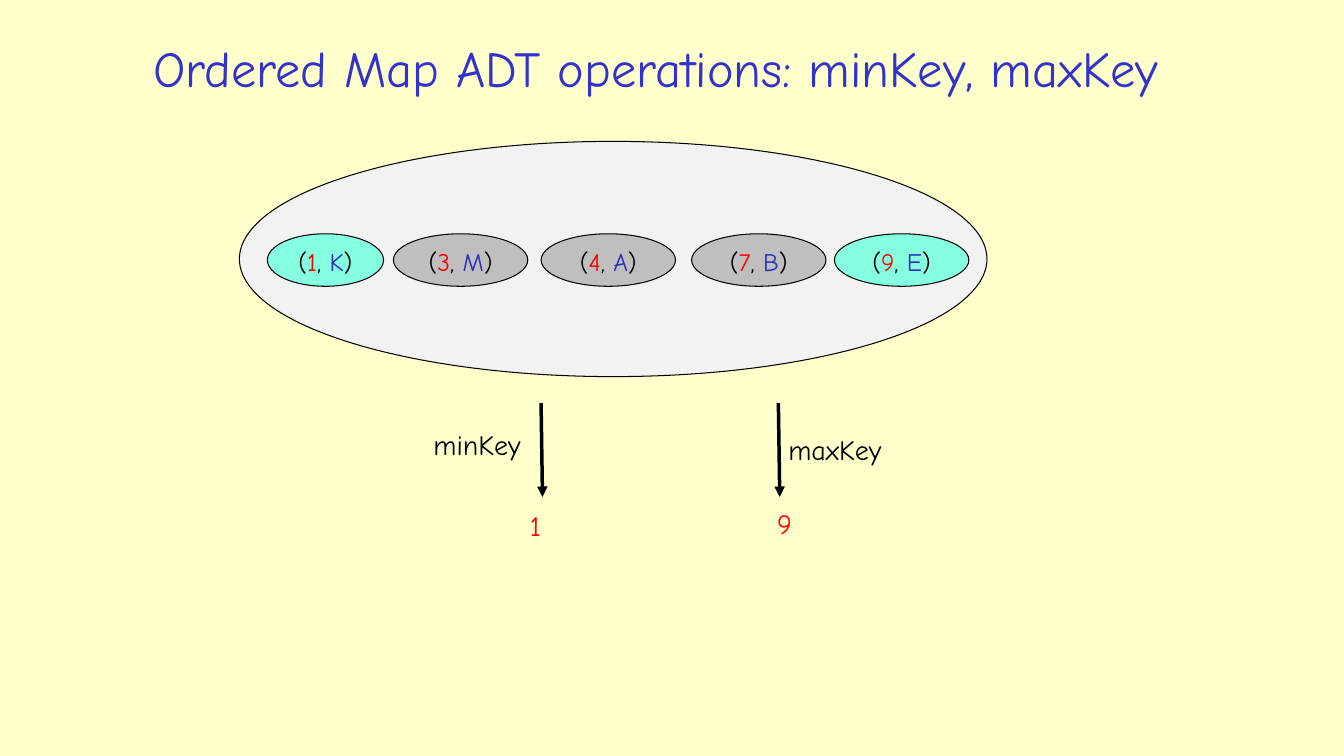
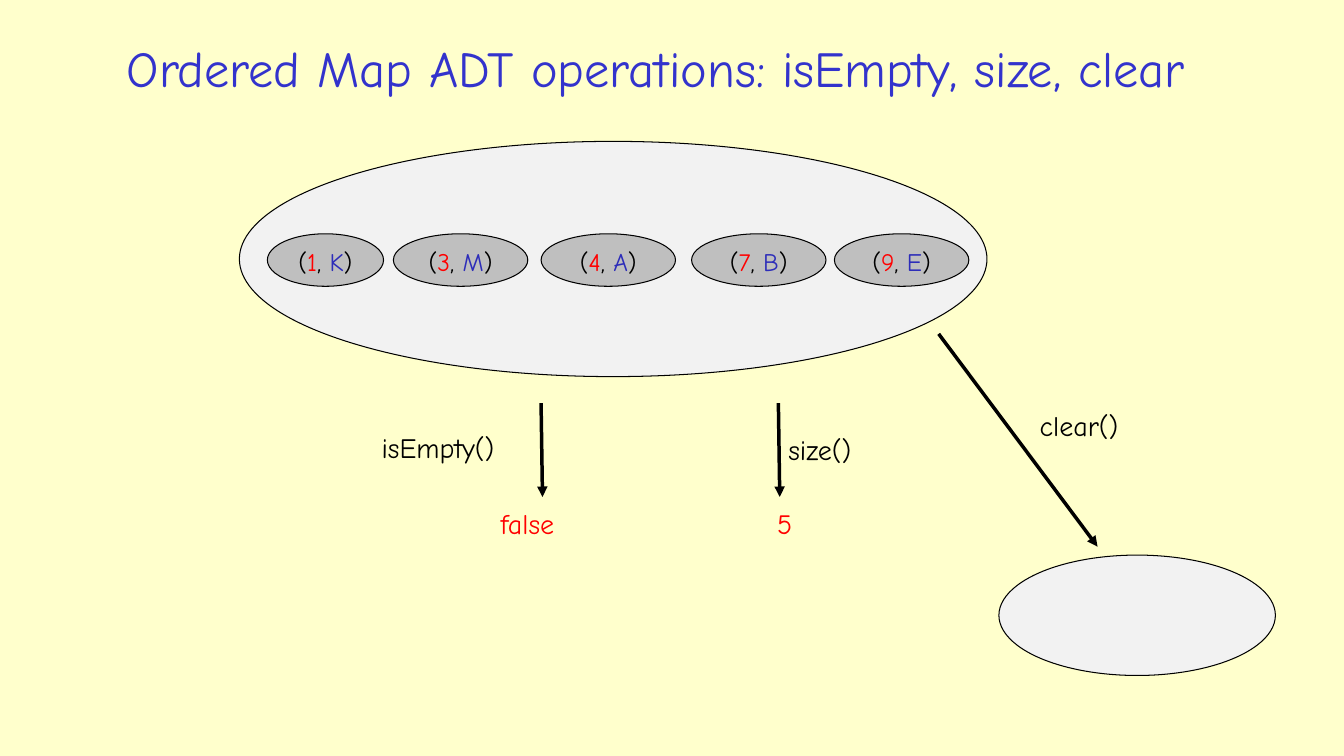
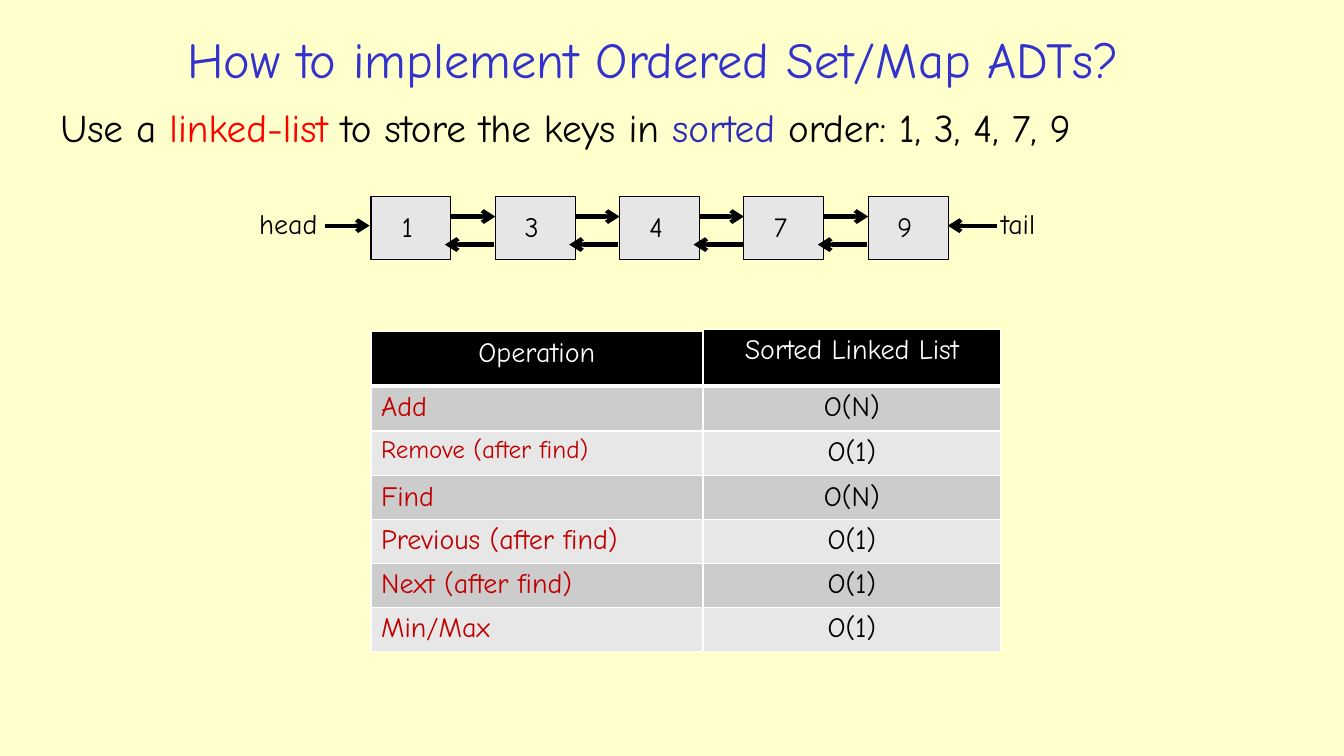
from collections import namedtuple
from dataclasses import dataclass

from lxml import etree
from pptx import Presentation
from pptx.dml.color import RGBColor
from pptx.enum.shapes import MSO_CONNECTOR, MSO_SHAPE
from pptx.enum.text import MSO_ANCHOR, MSO_AUTO_SIZE, PP_ALIGN
from pptx.oxml.ns import qn
from pptx.util import Pt

OVAL = MSO_SHAPE.OVAL
RECTANGLE = MSO_SHAPE.RECTANGLE
STRAIGHT = MSO_CONNECTOR.STRAIGHT
TOP = MSO_ANCHOR.TOP
MIDDLE = MSO_ANCHOR.MIDDLE
LEFT = PP_ALIGN.LEFT
CENTER = PP_ALIGN.CENTER
GROW = MSO_AUTO_SIZE.SHAPE_TO_FIT_TEXT
FIXED = MSO_AUTO_SIZE.NONE

Box = namedtuple("Box", "left top width height")
Entry = namedtuple("Entry", "key value offset width")


@dataclass(frozen=True)
class Theme:
    font: str = "Comic Neue"
    page: str = "FFFFCC"
    title: str = "3333CC"
    ink: str = "000000"
    key: str = "FF0000"
    value: str = "2D2DB9"
    map: str = "F2F2F2"
    entry: str = "BFBFBF"
    highlight: str = "85FFE0"
    node: str = "E6E6E6"
    white: str = "FFFFFF"
    operation: str = "C00000"
    bands: tuple = ("CCCCCC", "E7E7E7")
    title_size: float = 36
    body_size: float = 28
    label_size: float = 20
    entry_size: float = 18
    outline: float = 0.75
    operation_line: float = 2.5
    link_line: float = 3


THEME = Theme()
WIDE_TITLE = Box(27, 19, 883, 58)
MAP_BOX = Box(171, 101, 534, 168)
ENTRIES = [
    Entry("1", "K", 20, 83),
    Entry("3", "M", 110, 96),
    Entry("4", "A", 215.5, 96),
    Entry("7", "B", 323, 96),
    Entry("9", "E", 425, 96),
]
LEFT_ARROW = Box(386.5, 288, 1, 67)
RIGHT_ARROW = Box(556, 288, 1, 67)
CLEAR_ARROW = Box(670.5, 238.5, 113.5, 152)
RIGHT_LABEL = Box(0, 17.5, 98, 32)
RIGHT_RESULT = Box(-8, 70.5, 58, 32)
BODY_ROWS = [32, 32, 31.4, 31.4, 31.4, 31.4]
COSTS = [
    ("Add", "O(N)"),
    ("Remove (after find)", "O(1)"),
    ("Find", "O(N)"),
    ("Previous (after find)", "O(1)"),
    ("Next (after find)", "O(1)"),
    ("Min/Max", "O(1)"),
]


def color(value):
    return RGBColor.from_string(value)


def points(box):
    return [Pt(length) for length in box]


def inside(outer, inner):
    return Box(outer.left + inner.left, outer.top + inner.top, inner.width, inner.height)


def set_values(target, **values):
    for name, value in values.items():
        setattr(target, name, value)


def write(frame, spans, size, align=LEFT):
    para = frame.paragraphs[0]
    para.alignment = align
    for text, shade in spans:
        span = para.add_run()
        span.text = text
        set_values(span.font, name=THEME.font, size=Pt(size), bold=False)
        span.font.color.rgb = color(shade)
    return para


def add_title(slide, box, text):
    title = slide.shapes.title
    set_values(title, **dict(zip(Box._fields, points(box))))
    set_values(title.text_frame, word_wrap=True, auto_size=FIXED, vertical_anchor=MIDDLE)
    write(title.text_frame, [(text, THEME.title)], THEME.title_size, CENTER)


def add_page(deck, title_box, title):
    slide = deck.slides.add_slide(deck.slide_layouts.get_by_name("Title Only"))
    add_title(slide, title_box, title)
    return slide


def add_outlined(slide, kind, box, fill):
    shape = slide.shapes.add_shape(kind, *points(box))
    shape.shadow.inherit = False
    shape.fill.solid()
    shape.fill.fore_color.rgb = color(fill)
    shape.line.color.rgb = color(THEME.ink)
    shape.line.width = Pt(THEME.outline)
    return shape


def add_label(slide, box, text, shade=THEME.ink, wrap=True):
    label = slide.shapes.add_textbox(*points(box))
    set_values(label.text_frame, word_wrap=wrap, auto_size=GROW)
    write(label.text_frame, [(text, shade)], THEME.label_size)


def add_arrow(slide, box, width, head):
    left, top, across, down = box
    arrow = slide.shapes.add_connector(STRAIGHT, *points((left, top, left + across, top + down)))
    arrow.line.color.rgb = color(THEME.ink)
    arrow.line.width = Pt(width)
    properties = arrow.element.spPr
    etree.SubElement(properties.find(qn("a:ln")), qn("a:tailEnd"), type=head)
    etree.SubElement(properties, qn("a:effectLst"))


def add_ordered_map(slide, box, highlighted=()):
    add_outlined(slide, OVAL, box, THEME.map)
    for entry in ENTRIES:
        fill = THEME.highlight if entry.key in highlighted else THEME.entry
        place = inside(box, Box(entry.offset, 66, entry.width, 37.5))
        oval = add_outlined(slide, OVAL, place, fill)
        oval.text_frame.vertical_anchor = TOP
        spans = [
            ("(", THEME.ink),
            (entry.key, THEME.key),
            (", ", THEME.ink),
            (entry.value, THEME.value),
            (")", THEME.ink),
        ]
        write(oval.text_frame, spans, THEME.entry_size, CENTER)


def add_operation(slide, box, name, name_box, result=None, result_box=None):
    add_arrow(slide, box, THEME.operation_line, "triangle")
    add_label(slide, inside(box, name_box), name)
    if result:
        add_label(slide, inside(box, result_box), result, THEME.key)


def add_linked_list(slide, box, keys):
    node_width, pitch = 57, 88.8
    gap = pitch - node_width
    for index, key in enumerate(keys):
        place = inside(box, Box(index * pitch, 0, node_width, box.height))
        node = add_outlined(slide, RECTANGLE, place, THEME.node)
        set_values(node.text_frame, vertical_anchor=MIDDLE,
                   margin_right=Pt(12), margin_bottom=Pt(6))
        write(node.text_frame, [(key, THEME.ink)], THEME.label_size, CENTER)
    links = [Box(-33, 20.5, 32, 0), Box(box.width + 35, 20.5, -35, 0)]
    for index in range(len(keys) - 1):
        edge = index * pitch + node_width
        links += [Box(edge, 14, gap, 0), Box(edge + gap - 1, 34, -35, 0)]
    for link in links:
        add_arrow(slide, inside(box, link), THEME.link_line, "arrow")
    add_label(slide, inside(box, Box(-87, 3.3, 60, 32)), "head", wrap=False)
    add_label(slide, inside(box, Box(box.width + 31, 3.3, 45, 32)), "tail", wrap=False)


def add_border(cell, side, width):
    line = etree.SubElement(cell._tc.get_or_add_tcPr(), qn("a:" + side), w=str(Pt(width)))
    fill = etree.SubElement(line, qn("a:solidFill"))
    etree.SubElement(fill, qn("a:srgbClr"), val=THEME.white)


def format_cell(cell, text, shade, fill, align, size, bottom=1):
    for side, width in {"lnL": 1, "lnR": 1, "lnT": 1, "lnB": bottom}.items():
        add_border(cell, side, width)
    cell.fill.solid()
    cell.fill.fore_color.rgb = color(fill)
    write(cell.text_frame, [(text, shade)], size, align)


def add_cost_column(slide, box, heading, texts, shade, align):
    table = slide.shapes.add_table(len(texts) + 1, 1, *points(box)).table
    table.horz_banding = False
    heights = [box.height - sum(BODY_ROWS)] + BODY_ROWS
    for row, height in zip(table.rows, heights):
        row.height = Pt(height)
    format_cell(table.cell(0, 0), heading, THEME.white, THEME.ink, CENTER, THEME.label_size, 3)
    for index, text in enumerate(texts):
        size = THEME.entry_size if text.startswith("Remove") else THEME.label_size
        format_cell(table.cell(index + 1, 0), text, shade, THEME.bands[index % 2], align, size)


def add_statement(slide, box, spans):
    statement = slide.shapes.add_textbox(*points(box))
    statement.text_frame.word_wrap = True
    write(statement.text_frame, spans, THEME.body_size).line_spacing = 0.9


def build_key_page(deck):
    slide = add_page(deck, WIDE_TITLE, "Ordered Map ADT operations: minKey, maxKey")
    add_ordered_map(slide, MAP_BOX, ("1", "9"))
    add_operation(slide, LEFT_ARROW, "minKey", Box(-84, 13.7, 91, 32), "1", Box(-15, 72, 58, 32))
    add_operation(slide, RIGHT_ARROW, "maxKey", RIGHT_LABEL, "9", RIGHT_RESULT)


def build_state_page(deck):
    slide = add_page(deck, WIDE_TITLE, "Ordered Map ADT operations: isEmpty, size, clear")
    add_ordered_map(slide, MAP_BOX)
    add_operation(slide, LEFT_ARROW, "isEmpty()", Box(-121, 15.8, 127, 32),
                  "false", Box(-36, 70.5, 71, 32))
    add_operation(slide, RIGHT_ARROW, "size()", RIGHT_LABEL, "5", RIGHT_RESULT)
    add_operation(slide, CLEAR_ARROW, "clear()", Box(65, 49.5, 98, 32))
    add_outlined(slide, OVAL, Box(713.5, 396.5, 197.5, 86), THEME.map)


def build_list_page(deck):
    slide = add_page(deck, Box(44, 19.5, 845, 45), "How to implement Ordered Set/Map ADTs?")
    add_statement(slide, Box(36, 74, 867, 50), [
        ("Use a ", THEME.ink),
        ("linked-list", THEME.key),
        (" to store the keys in ", THEME.ink),
        ("sorted", THEME.value),
        (" order: 1, 3, 4, 7, 9", THEME.ink),
    ])
    add_linked_list(slide, Box(265, 140.7, 412, 45), [entry.key for entry in ENTRIES])
    operations, costs = zip(*COSTS)
    add_cost_column(slide, Box(502.5, 235.5, 212, 230), "Sorted Linked List",
                    costs, THEME.ink, CENTER)
    add_cost_column(slide, Box(265, 237, 237, 228.5), "Operation",
                    operations, THEME.operation, LEFT)


def main():
    deck = Presentation()
    set_values(deck, slide_width=Pt(960), slide_height=Pt(540))
    background = deck.slide_master.background.fill
    background.solid()
    background.fore_color.rgb = color(THEME.page)
    for build in (build_key_page, build_state_page, build_list_page):
        build(deck)
    deck.save("out.pptx")


if __name__ == "__main__":
    main()
